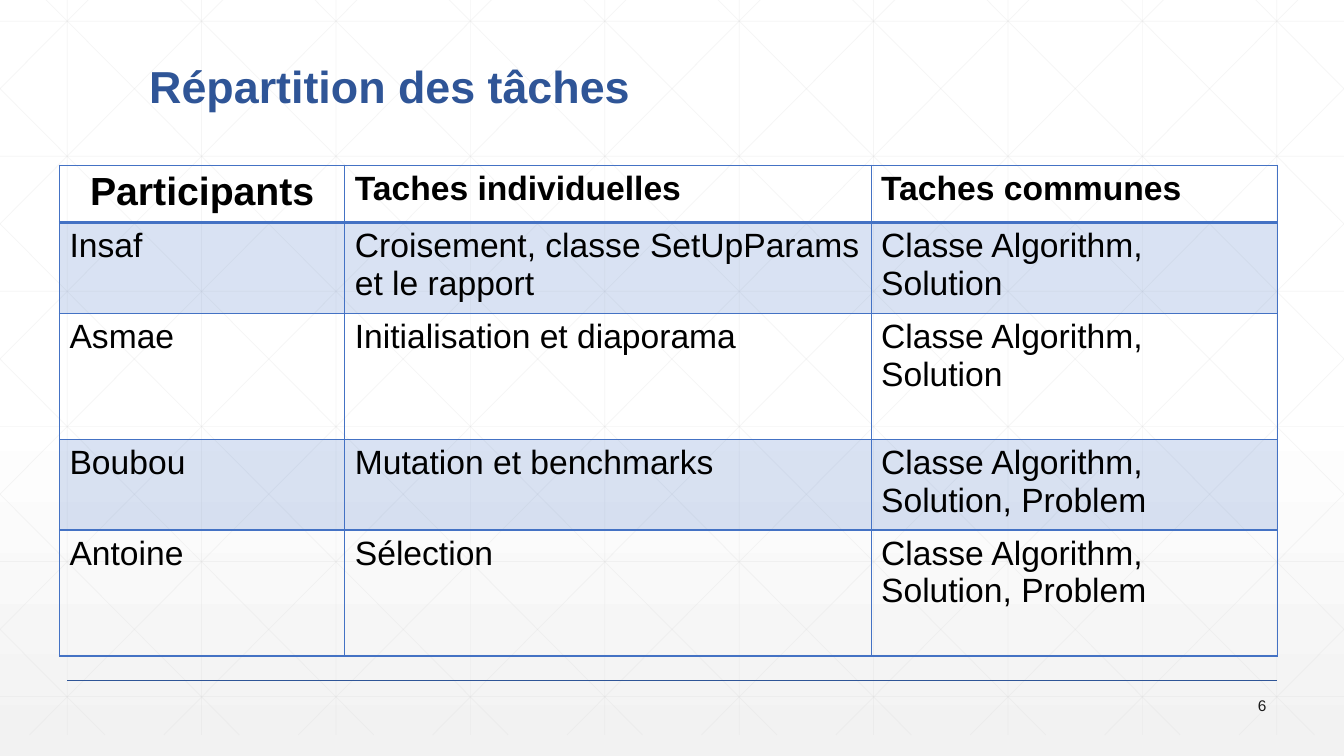
from lxml import etree
from pptx import Presentation, util as u
from pptx.dml.color import RGBColor
from pptx.enum import shapes, text
from pptx.oxml import ns

WIDE, HIGH = 13.33, 7.5
STEP = WIDE / 10
TOP, END = -0.21, 7.29
LEAN = 7.455 / 7.5
NAVY = RGBColor(0x2F, 0x55, 0x97)
BLUE = RGBColor(0x44, 0x72, 0xC4)
GRID = RGBColor(0xD9, 0xD9, 0xD9)
WHITE = RGBColor(0xFF, 0xFF, 0xFF)
PALE = RGBColor(0xF2, 0xF2, 0xF2)
BLACK = RGBColor(0, 0, 0)
DARK = RGBColor(0x1A, 0x1A, 0x1A)
COLS = [2.83, 5.22, 4.03]
ROWS = [0.55, 0.87, 1.25, 0.87, 1.25]
TASKS = [
    ["Participants", "Taches individuelles", "Taches communes"],
    ["Insaf", "Croisement, classe SetUpParams et le rapport", "Classe Algorithm, Solution"],
    ["Asmae", "Initialisation et diaporama", "Classe Algorithm, Solution"],
    ["Boubou", "Mutation et benchmarks", "Classe Algorithm, Solution, Problem"],
    ["Antoine", "Sélection", "Classe Algorithm, Solution, Problem"],
]


def sub(node, tag, **attrs):
    """Append a drawing element and return it."""
    return etree.SubElement(node, ns.qn(tag), attrs)


def fade(node, share):
    """Set the opacity, in percent, of the solid colour under a node."""
    sub(next(node.iter(ns.qn("a:srgbClr"))), "a:alpha", val=str(share * 1000))


def put(frame, words, size=24, color=BLACK, bold=False, align=text.PP_ALIGN.LEFT, space=1):
    """Write formatted text into a frame."""
    para = frame.paragraphs[0]
    para.alignment, para.line_spacing = align, space
    run = para.add_run()
    run.text = words
    font = run.font
    font.name, font.size, font.bold = "Arial", u.Pt(size), bold
    font.color.rgb = color


def place(shape, left, top, width, height):
    """Set the box of a shape in inches."""
    shape.left, shape.top = u.Inches(left), u.Inches(top)
    shape.width, shape.height = u.Inches(width), u.Inches(height)


def rule(slide, start, stop, color=GRID, width=0.5, share=25):
    """Draw a straight line between two points."""
    ends = [u.Inches(v) for v in (*start, *stop)]
    line = slide.shapes.add_connector(shapes.MSO_CONNECTOR.STRAIGHT, *ends)
    line.line.color.rgb, line.line.width = color, u.Pt(width)
    props = line._element.spPr
    fade(props, share)
    sub(props, "a:effectLst")


def slant(slide, head):
    """Draw a diagonal clipped to the slide, and its mirror."""
    left, right = max(head, 0), min(head + (END - TOP) * LEAN, WIDE)
    high, low = (TOP + (x - head) / LEAN for x in (left, right))
    rule(slide, (left, high), (right, low))
    rule(slide, (WIDE - left, high), (WIDE - right, low))


def lattice(slide):
    """Draw the pale pattern behind the content."""
    for i in range(10):
        x = (i + 0.5) * STEP
        rule(slide, (x, TOP), (x, END))
    for i in range(6):
        y = 0.21 + 1.34 * i
        rule(slide, (0, y), (WIDE, y))
    for i in range(-5, 10):
        slant(slide, 0.25 + i * STEP)


def edge(cell, row):
    """Draw the four borders of a cell, thicker under the header."""
    thick = {"L": 1, "R": 1, "T": 2 if row == 1 else 1, "B": 2 if row == 0 else 1}
    for side, width in thick.items():
        line = sub(cell._tc.get_or_add_tcPr(), "a:ln" + side, w=str(u.Pt(width)))
        sub(sub(line, "a:solidFill"), "a:srgbClr", val=str(BLUE))


def tint(cell, row):
    """Shade odd rows and leave the others clear."""
    if row % 2:
        cell.fill.solid()
        cell.fill.fore_color.rgb = BLUE
        fade(cell._tc.tcPr.find(ns.qn("a:solidFill")), 20)
    else:
        cell.fill.background()


def chart(slide):
    """Build the table of tasks."""
    box = [u.Inches(v) for v in (0.59, 1.64, sum(COLS), sum(ROWS))]
    table = slide.shapes.add_table(len(ROWS), len(COLS), *box).table
    table.first_row = table.horz_banding = False
    for col, width in zip(table.columns, COLS):
        col.width = u.Inches(width)
    for i, (height, words) in enumerate(zip(ROWS, TASKS)):
        table.rows[i].height = u.Inches(height)
        for j, word in enumerate(words):
            cell, lead = table.cell(i, j), i == j == 0
            align = text.PP_ALIGN.CENTER if lead else text.PP_ALIGN.LEFT
            put(cell.text_frame, word, size=28 if lead else 24, bold=i == 0, align=align)
            edge(cell, i)
            tint(cell, i)


def shade(slide):
    """Fill the background from white down to pale grey."""
    fill = slide.background.fill
    fill.gradient()
    fill.gradient_angle = 270
    for stop, spot, color in zip(fill.gradient_stops, (0.53, 1), (WHITE, PALE)):
        stop.position, stop.color.rgb = spot, color


def title(slide, words):
    """Format the title and bring it above the pattern."""
    shape = slide.shapes.title
    place(shape, 1.38, 0.38, 10.5, 0.79)
    frame = shape.text_frame
    frame.auto_size = text.MSO_AUTO_SIZE.NONE
    frame.vertical_anchor = text.MSO_ANCHOR.BOTTOM
    put(frame, words, size=32, color=NAVY, bold=True, space=0.9)
    slide.shapes._spTree.append(shape._element)


def number(slide, words):
    """Write the page number at the bottom right."""
    box = [u.Inches(v) for v in (11.66, 6.88, 1, 0.24)]
    frame = slide.shapes.add_textbox(*box).text_frame
    frame.word_wrap = True
    frame.vertical_anchor = text.MSO_ANCHOR.MIDDLE
    put(frame, words, size=11, color=DARK, align=text.PP_ALIGN.RIGHT)


def main():
    """Build and save the slide."""
    prs = Presentation()
    prs.slide_width, prs.slide_height = u.Inches(WIDE), u.Inches(HIGH)
    slide = prs.slides.add_slide(prs.slide_layouts[5])
    shade(slide)
    lattice(slide)
    rule(slide, (STEP / 2, HIGH * 0.9), (WIDE - STEP / 2, HIGH * 0.9), NAVY, 1, 100)
    title(slide, "Répartition des tâches")
    number(slide, "6")
    chart(slide)
    prs.save("out.pptx")


main()
